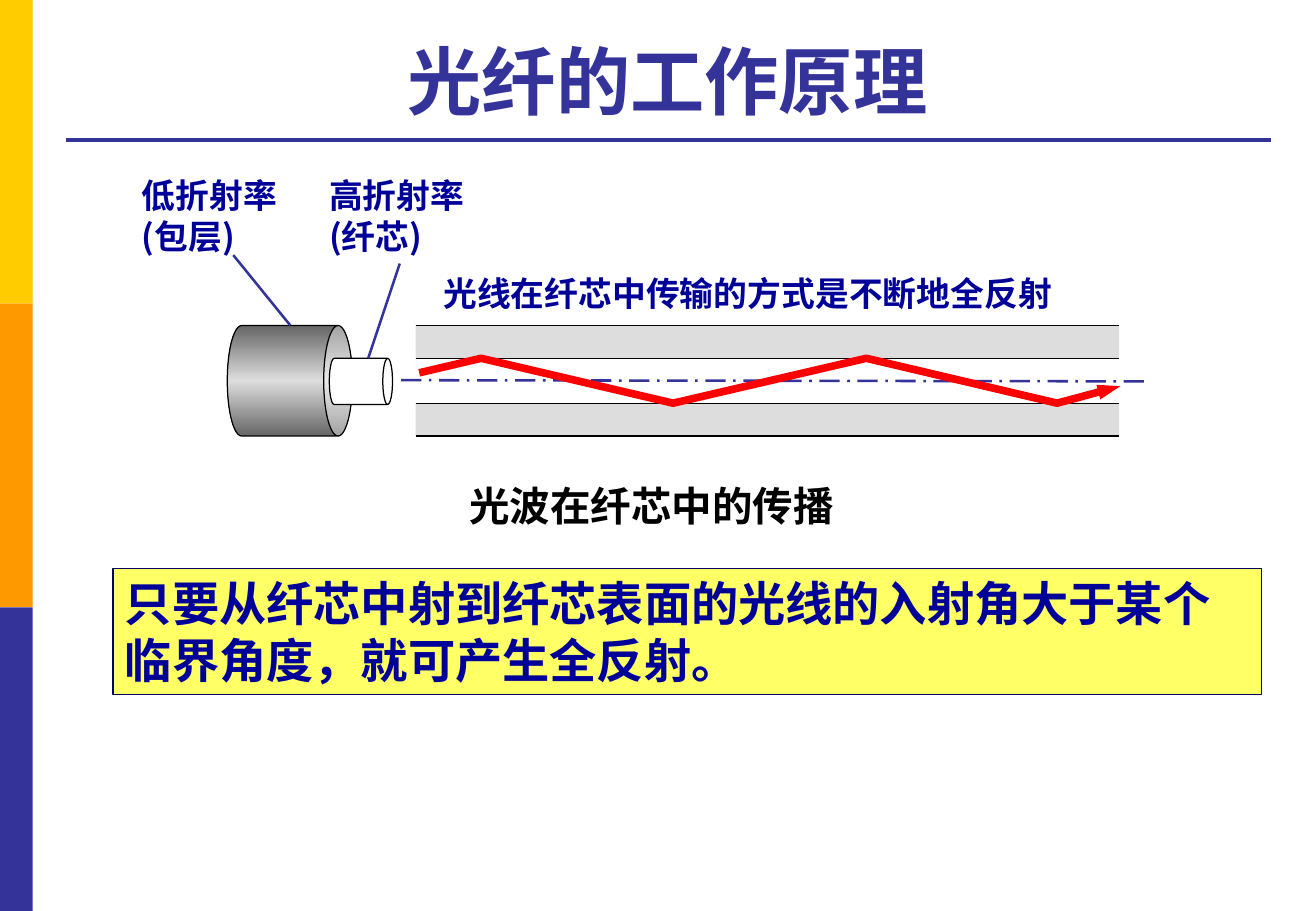
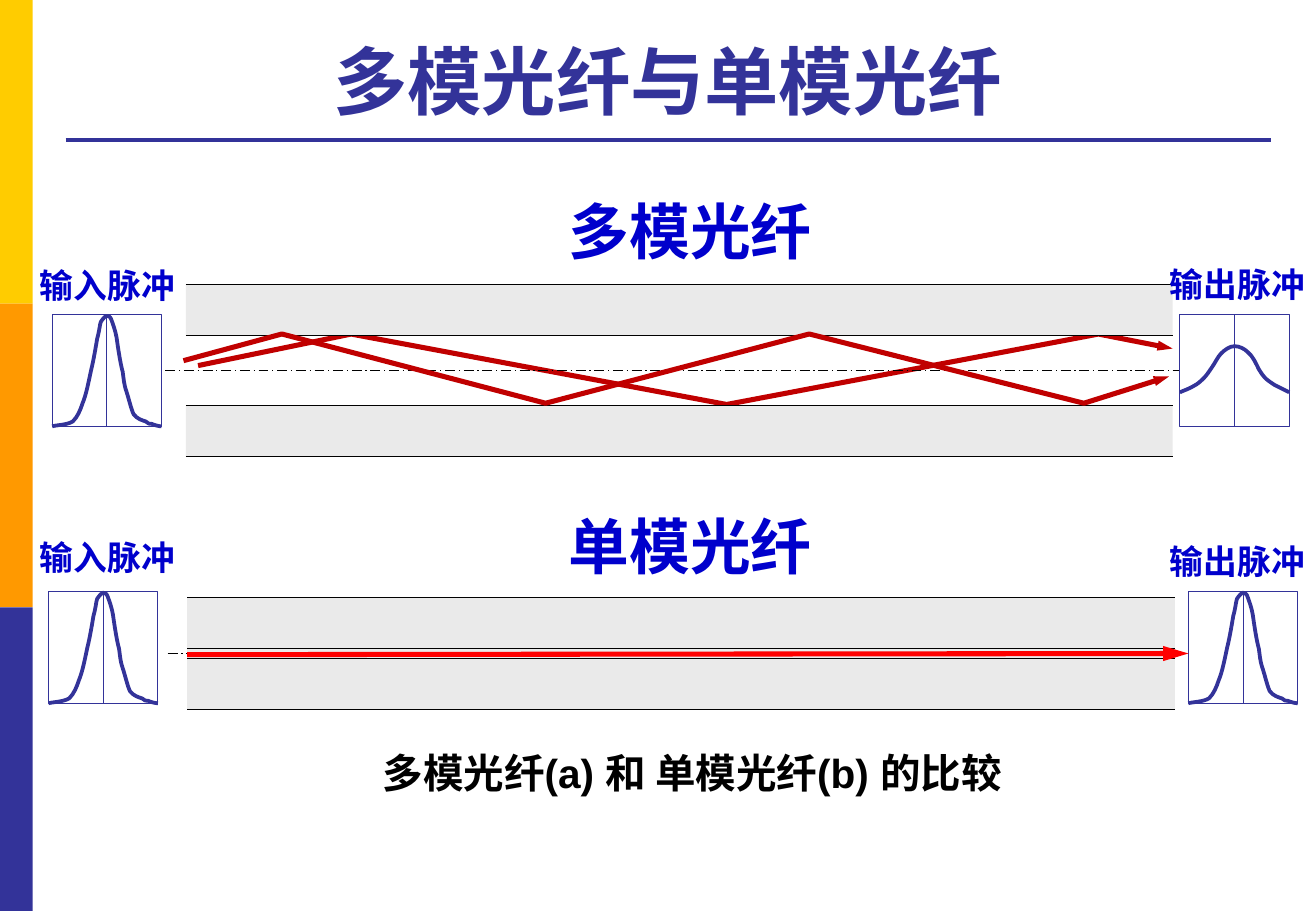
"""Builds two slides on how optical fibre guides light."""
from copy import deepcopy

from lxml import etree
from pptx import Presentation
from pptx.dml.color import RGBColor
from pptx.enum.dml import MSO_LINE
from pptx.enum.shapes import MSO_CONNECTOR, MSO_SHAPE
from pptx.enum.text import MSO_ANCHOR, MSO_AUTO_SIZE, PP_ALIGN
from pptx.oxml.ns import qn
from pptx.util import Inches, Pt

STRAIGHT = MSO_CONNECTOR.STRAIGHT
RECTANGLE = MSO_SHAPE.RECTANGLE
CAN = MSO_SHAPE.CAN
DASH_DOT = MSO_LINE.LONG_DASH_DOT
TOP, BOTTOM = MSO_ANCHOR.TOP, MSO_ANCHOR.BOTTOM
LEFT, CENTER = PP_ALIGN.LEFT, PP_ALIGN.CENTER
GROW = MSO_AUTO_SIZE.SHAPE_TO_FIT_TEXT

LATIN, CJK = "Arial", "Noto Sans CJK SC"
COLORS = {
    "yellow": "FFCC00", "orange": "FF9900", "indigo": "333399",
    "white": "FFFFFF", "black": "000000", "cladding": "DDDDDD",
    "pale cladding": "EAEAEA", "shade": "666666", "navy": "000099",
    "blue": "0000CC", "red": "FF0000", "dark red": "C00000",
    "note": "FFFF66", "note edge": "000066",
}
SLIM_HEAD, LONG_HEAD = ("sm", "med"), ("med", "lg")
PANEL_WIDTH, PANEL_HEIGHT = 0.9, 0.92
NARROW_PULSE = [
    (0, .92), (.03, .91), (.12, .91), (.17, .88), (.21, .84), (.23, .79),
    (.25, .73), (.28, .66), (.30, .55), (.32, .46), (.34, .38), (.36, .26),
    (.37, .20), (.39, .13), (.39, .09), (.40, .06), (.42, .03), (.44, .01),
    (.45, .01), (.47, .01), (.48, .02), (.49, .05), (.50, .08), (.52, .13),
    (.53, .19), (.54, .26), (.56, .40), (.58, .47), (.59, .54), (.59, .57),
    (.61, .63), (.63, .69), (.65, .78), (.67, .82), (.70, .86), (.74, .87),
    (.77, .88), (.79, .90), (.80, .90), (.82, .90), (.84, .91), (.88, .92),
    (.90, .92),
]
SPREAD_PULSE = [
    (0, .64), (.02, .63), (.08, .61), (.11, .59), (.15, .57), (.17, .55),
    (.20, .52), (.22, .50), (.24, .47), (.26, .44), (.29, .40), (.31, .35),
    (.34, .32), (.37, .29), (.41, .26), (.45, .26), (.49, .26), (.53, .28),
    (.56, .31), (.60, .34), (.63, .41), (.65, .45), (.67, .48), (.68, .50),
    (.70, .52), (.72, .54), (.75, .56), (.78, .58), (.82, .60), (.88, .63),
    (.90, .64),
]


def rgb(color):
    """Return the named colour."""
    return RGBColor.from_string(COLORS[color])


def style_line(shape, color, width, dash=None, head=None):
    """Format an outline, with an optional dash and arrowhead."""
    shape.line.color.rgb = rgb(color)
    shape.line.width = Pt(width)
    if dash is not None:
        shape.line.dash_style = dash
    if head:
        outline = shape._element.spPr.find(qn("a:ln"))
        etree.SubElement(outline, qn("a:tailEnd"), type="triangle", w=head[0], len=head[1])


def add_line(slide, start, end, color="black", width=0.75, dash=None, head=None):
    """Draw a straight line between two points."""
    line = slide.shapes.add_connector(
        STRAIGHT, *(Inches(value) for value in (*start, *end)))
    style_line(line, color, width, dash, head)
    etree.SubElement(line._element.spPr, qn("a:effectLst"))
    return line


def add_block(slide, box, fill, edge=None, width=0.75, kind=RECTANGLE):
    """Draw a filled preset shape."""
    block = slide.shapes.add_shape(kind, *(Inches(value) for value in box))
    block.shadow.inherit = False
    block.fill.solid()
    block.fill.fore_color.rgb = rgb(fill)
    if edge:
        style_line(block, edge, width)
    else:
        block.line.fill.background()
    return block


def add_outline(slide, points, color, width, head=None):
    """Draw an open outline through the points."""
    (start_x, start_y), *rest = [(Inches(x), Inches(y)) for x, y in points]
    builder = slide.shapes.build_freeform(start_x, start_y)
    builder.add_line_segments(rest, close=False)
    outline = builder.convert_to_shape()
    outline.shadow.inherit = False
    outline.fill.background()
    style_line(outline, color, width, head=head)
    return outline


def curve_outline(outline):
    """Turn each three straight segments into one cubic curve."""
    segments = list(outline._element.spPr.iter(qn("a:lnTo")))
    for first in range(0, len(segments), 3):
        curve = etree.Element(qn("a:cubicBezTo"))
        segments[first].addprevious(curve)
        for segment in segments[first:first + 3]:
            curve.append(segment[0])
            segment.getparent().remove(segment)


def write(frame, text, size, color, align=LEFT, font=LATIN, anchor=TOP):
    """Fill a text frame with bold paragraphs."""
    frame.text = text
    frame.vertical_anchor = anchor
    for paragraph in frame.paragraphs:
        paragraph.alignment = align
        paragraph.font.size = Pt(size)
        paragraph.font.bold = True
        paragraph.font.color.rgb = rgb(color)
        paragraph.font.name = font
        defaults = paragraph._p.pPr.find(qn("a:defRPr"))
        etree.SubElement(defaults, qn("a:ea"), typeface=CJK)


def add_text(slide, box, text, size, color, align=LEFT, font=LATIN, wrap=False):
    """Add a text box that grows with its text."""
    frame = slide.shapes.add_textbox(*(Inches(value) for value in box)).text_frame
    frame.word_wrap = wrap
    frame.auto_size = GROW
    write(frame, text, size, color, align, font)


def move_frame_to_layout(slide):
    """Put the side bands and title rule on the slide's layout."""
    parts = [add_block(slide, (0, 2.5 * index, 0.27, 2.5), color)
             for index, color in enumerate(("yellow", "orange", "indigo"))]
    parts.append(add_line(slide, (0.54, 1.15), (10.46, 1.15), "indigo", 2.25))
    first_placeholder = slide.slide_layout.placeholders[0]._element
    for part in parts:
        first_placeholder.addprevious(part._element)


def new_slide(prs, heading):
    """Add a title-only slide with its heading."""
    slide = prs.slides.add_slide(prs.slide_layouts[5])
    title = slide.shapes.title
    title.left, title.top = Inches(0.54), Inches(0.2)
    title.width, title.height = Inches(9.91), Inches(0.87)
    write(title.text_frame, heading, 44, "indigo", CENTER, anchor=BOTTOM)
    return slide


def add_fibre(slide, left, right, top, wall, core, cladding, core_fill=None):
    """Draw a lengthwise section: core between two cladding walls."""
    edges = (top, top + wall, top + wall + core, top + 2 * wall + core)
    fills = (cladding, core_fill, cladding)
    for upper, lower, fill in zip(edges, edges[1:], fills):
        if fill:
            add_block(slide, (left, upper, right - left, lower - upper), fill)
    for edge in edges:
        add_line(slide, (left, edge), (right, edge))


def add_cylinder(slide, box, depth, fill):
    """Draw a cylinder lying on its side."""
    cylinder = add_block(slide, box, fill, "black", kind=CAN)
    cylinder.rotation = 90
    cylinder.adjustments[0] = depth
    return cylinder


def shade_cylinder(cylinder):
    """Shade a cylinder from dark rims to a light middle."""
    cylinder.fill.gradient()
    cylinder.fill.gradient_angle = 0
    stops = cylinder._element.spPr.find(".//" + qn("a:gsLst"))
    stops.append(deepcopy(stops[0]))
    shades = ((0, "shade"), (0.5, "cladding"), (1, "shade"))
    for stop, (position, color) in zip(cylinder.fill.gradient_stops, shades):
        stop.position = position
        stop.color.rgb = rgb(color)


def add_pulse(slide, left, top, knots, edge_width):
    """Draw a framed pulse with its centre line."""
    middle = left + PANEL_WIDTH / 2
    add_block(slide, (left, top, PANEL_WIDTH, PANEL_HEIGHT), "white", "indigo", edge_width)
    add_line(slide, (middle, top), (middle, top + PANEL_HEIGHT), "indigo", 0.5)
    points = [(left + x, top + y) for x, y in knots]
    curve_outline(add_outline(slide, points, "indigo", 2.25))


def add_ends(slide, top, input_end, output_end, edge_width):
    """Draw the labelled input and output pulses of a fibre."""
    for (left, knots, label_left, label_top, label) in (input_end, output_end):
        add_pulse(slide, left, top, knots, edge_width)
        add_text(slide, (label_left, label_top, 1.32, 0.44), label, 20, "blue")


def build_principle(prs):
    """Build the slide on total reflection."""
    slide = new_slide(prs, "光纤的工作原理")
    move_frame_to_layout(slide)
    add_fibre(slide, 3.42, 9.21, 2.68, 0.27, 0.37, "cladding", "white")
    shade_cylinder(add_cylinder(slide, (1.93, 2.62, 0.91, 1.03), 0.26, "cladding"))
    add_cylinder(slide, (2.78, 2.88, 0.38, 0.52), 0.21, "white")
    add_line(slide, (3.3, 3.13), (9.43, 3.14), "indigo", 1.5, DASH_DOT)
    labels = (
        ((2.61, 1.39, 1.33, 0.77), "高折射率\n(纤芯)"),
        ((1.07, 1.39, 1.33, 0.77), "低折射率\n(包层)"),
        ((3.55, 2.2, 5.28, 0.44), "光线在纤芯中传输的方式是不断地全反射"),
    )
    for box, text in labels:
        add_text(slide, box, text, 20, "navy", font=CJK)
    for start, end in (((3.29, 2.17), (3.03, 2.95)), ((1.92, 2.1), (2.39, 2.68))):
        add_line(slide, start, end, "indigo", 1.5)
    ray = [(3.45, 3.07), (3.96, 2.95), (5.54, 3.32),
           (7.13, 2.95), (8.7, 3.32), (9.22, 3.18)]
    add_outline(slide, ray, "red", 4.5, SLIM_HEAD)
    add_text(slide, (2.35, 3.91, 6.02, 0.5), "光波在纤芯中的传播",
             24, "black", CENTER, wrap=True)
    note = add_block(slide, (0.93, 4.68, 9.45, 1.04), "note", "note edge")
    note.text_frame.word_wrap = True
    write(note.text_frame,
          "只要从纤芯中射到纤芯表面的光线的入射角大于某个临界角度，就可产生全反射。",
          28, "navy")


def build_comparison(prs):
    """Build the slide comparing multimode and single-mode fibre."""
    slide = new_slide(prs, "多模光纤与单模光纤")
    add_block(slide, (1.54, 5.09, 8.13, 0.58), "pale cladding")
    add_fibre(slide, 1.54, 9.67, 4.92, 0.42, 0.08, "pale cladding")
    add_line(slide, (1.38, 5.38), (9.8, 5.38), dash=DASH_DOT)
    add_ends(slide, 4.87, (0.4, NARROW_PULSE, 0.23, 4.37, "输入脉冲"),
             (9.78, NARROW_PULSE, 9.53, 4.4, "输出脉冲"), 0.5)
    add_text(slide, (4.58, 4.14, 2.22, 0.71), "单模光纤", 36, "blue")
    shallow_ray = [(1.63, 3.01), (2.89, 2.75), (5.98, 3.33), (9.04, 2.75), (9.65, 2.87)]
    add_outline(slide, shallow_ray, "dark red", 3, SLIM_HEAD)
    add_fibre(slide, 1.53, 9.65, 2.34, 0.42, 0.58, "pale cladding")
    add_line(slide, (1.36, 3.05), (9.78, 3.05), dash=DASH_DOT)
    add_ends(slide, 2.59, (0.43, NARROW_PULSE, 0.23, 2.13, "输入脉冲"),
             (9.71, SPREAD_PULSE, 9.53, 2.12, "输出脉冲"), 0.75)
    add_line(slide, (1.54, 5.39), (9.78, 5.38), "red", 3, head=LONG_HEAD)
    steep_ray = [(1.51, 2.97), (2.32, 2.75), (4.49, 3.32),
                 (6.66, 2.75), (8.92, 3.32), (9.62, 3.1)]
    add_outline(slide, steep_ray, "dark red", 3, SLIM_HEAD)
    add_text(slide, (4.58, 1.55, 2.22, 0.71), "多模光纤", 36, "blue")
    add_text(slide, (2.27, 6.11, 6.85, 0.5), "多模光纤(a) 和 单模光纤(b) 的比较",
             24, "black", CENTER, wrap=True)


def main():
    """Build and save the presentation."""
    prs = Presentation()
    prs.slide_width, prs.slide_height = Inches(10.83), Inches(7.5)
    build_principle(prs)
    build_comparison(prs)
    prs.save("out.pptx")


if __name__ == "__main__":
    main()
